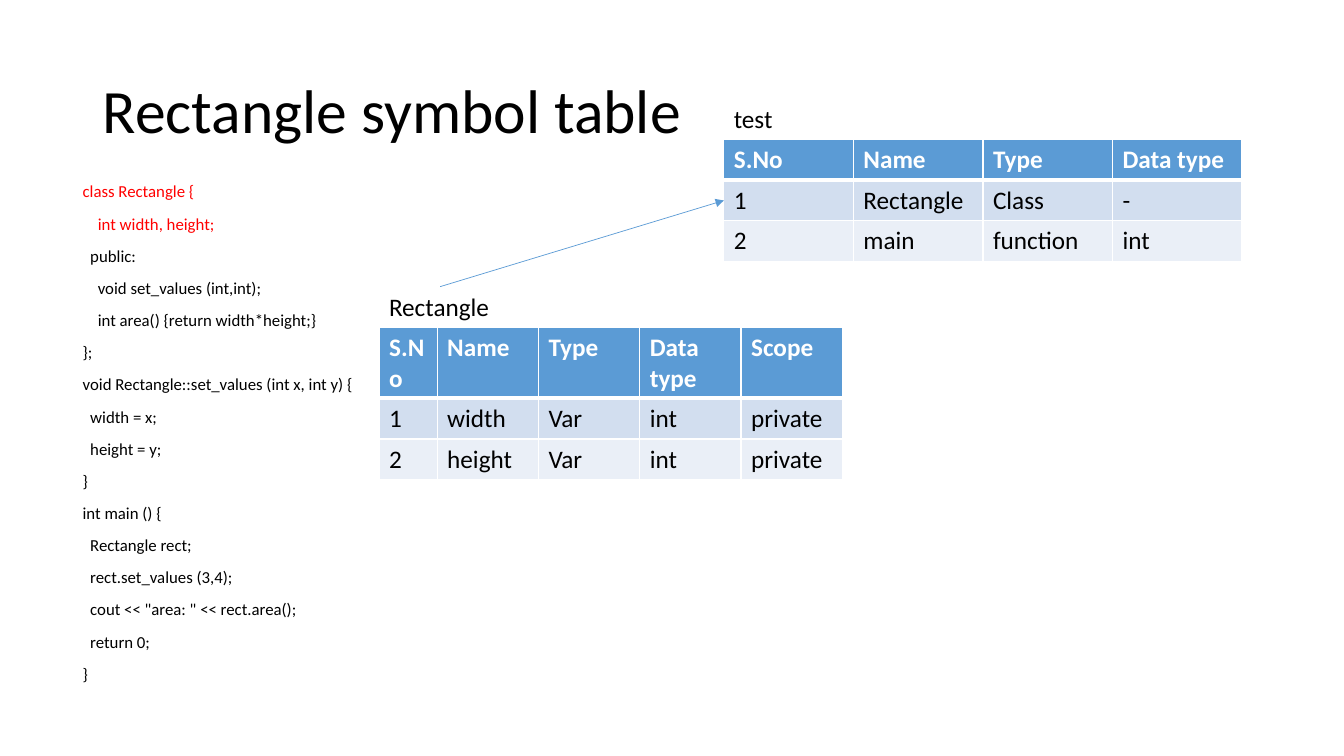
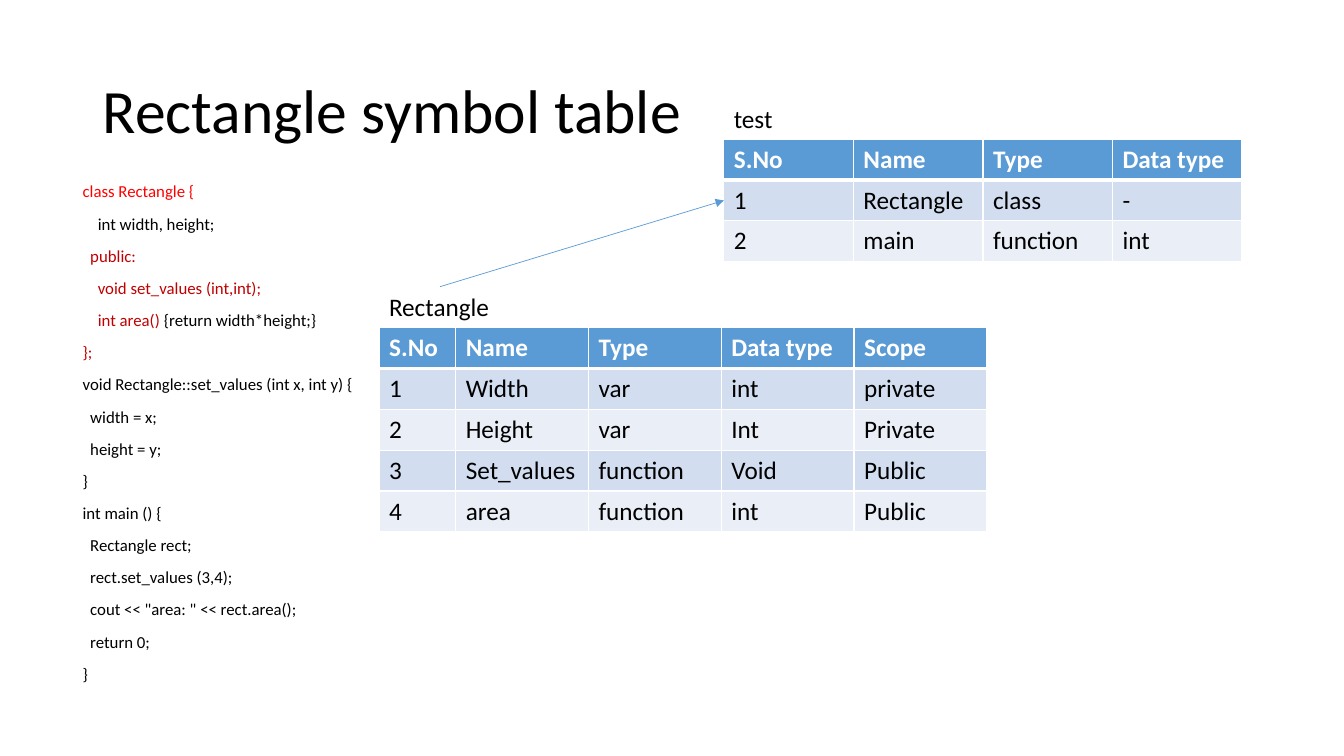
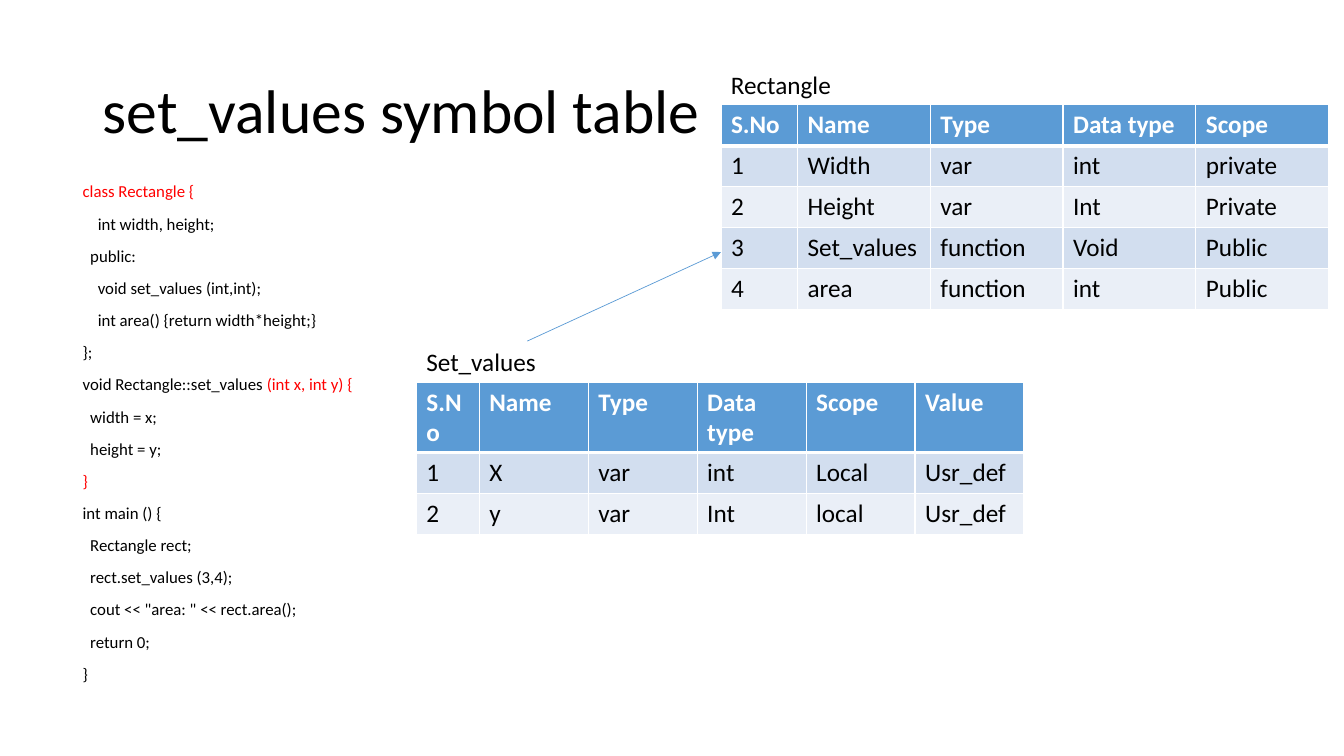
import dataclasses
import pptx
import pptx.dml.color
import pptx.enum.shapes
import pptx.enum.text
import pptx.oxml
import pptx.oxml.ns
import pptx.util


@dataclasses.dataclass(frozen=True)
class Theme:
    font: str = "Calibri"
    ink: str = "000000"
    white: str = "FFFFFF"
    red: str = "FF0000"
    dark: str = "C00000"
    blue: str = "5B9BD5"
    odd: str = "D2DEEF"
    even: str = "EAEFF7"
    title: int = 44
    text: int = 18
    code: int = 12
    space: float = 2.71


look = Theme()
deck = pptx.Presentation()
deck.slide_width = pptx.util.Inches(13.33)
deck.slide_height = pptx.util.Inches(7.5)
col = deck.slide_width / 100
row = deck.slide_height / 100
step = 5.41


def place(x, y, w, h):
    return int(x * col), int(y * row), int(w * col), int(h * row)


def say(para, text, size, tint=look.ink, bold=False):
    run = para.add_run()
    run.text = text
    run.font.name = look.font
    run.font.size = pptx.util.Pt(size)
    run.font.bold = bold
    run.font.color.rgb = pptx.dml.color.RGBColor.from_string(tint)


code = [
    (0, "class Rectangle {"),
    (4, "int width, height;"),
    (2, "public:"),
    (4, "void set_values (int,int);"),
    (4, "int area() {return width*height;}"),
    (0, "};"),
    (0, "void Rectangle::set_values (int x, int y) {"),
    (2, "width = x;"),
    (2, "height = y;"),
    (0, "}"),
    (0, "int main () {"),
    (2, "Rectangle rect;"),
    (2, "rect.set_values (3,4);"),
    (2, 'cout << "area: " << rect.area();'),
    (2, "return 0;"),
    (0, "}"),
]

head = ["S.No", "Name", "Type", "Data type"]
test = [head, ["1", "Rectangle", "class", "-"], ["2", "main", "function", "int"]]
first = [head, ["1", "Rectangle", "Class", "-"], test[2]]
draft = [
    head + ["Scope"],
    ["1", "width", "Var", "int", "private"],
    ["2", "height", "Var", "int", "private"],
]
full = [
    head + ["Scope"],
    ["1", "Width", "var", "int", "private"],
    ["2", "Height", "var", "Int", "Private"],
    ["3", "Set_values", "function", "Void", "Public"],
    ["4", "area", "function", "int", "Public"],
]
local = [
    head + ["Scope", "Value"],
    ["1", "X", "var", "int", "Local", "Usr_def"],
    ["2", "y", "var", "Int", "local", "Usr_def"],
]

outer = ("test", 4.43, False, 53.86, 18.4, 9.64, 9.64)
inner = ("Rectangle", 9.08, False, 28.21, 43.33)
pages = [
    (
        "Rectangle symbol table",
        {0: (look.red, code[0][1]), 1: (look.red, code[1][1])},
        (*outer, first),
        (*inner, 4.32, 7.54, draft),
        1.5,
    ),
    (
        "Rectangle symbol table",
        {
            0: (look.red, code[0][1]),
            2: (look.dark, code[2][1]),
            3: (look.dark, code[3][1]),
            4: (look.dark, "int area() "),
            5: (look.dark, code[5][1]),
        },
        (*outer, test),
        (*inner, 5.7, 9.88, full),
        1.5,
    ),
    (
        "set_values symbol table",
        {
            0: (look.red, code[0][1]),
            6: (look.red, "(int x, int y) {"),
            9: (look.red, code[9][1]),
        },
        ("Rectangle", 9.08, False, 53.64, 13.87, 5.7, 9.88, full),
        ("Set_values", 16.5, True, 30.98, 50.53, 4.68, 8.11, local),
        3.6,
    ),
]

for name, marks, upper, lower, hit in pages:
    slide = deck.slides.add_slide(deck.slide_layouts[1])
    title, body = slide.placeholders
    title.left, title.top, title.width, title.height = place(6.9, 5.33, 86.27, 19.33)
    body.left, body.top, body.width, body.height = place(5.4, 23.6, 86.27, 63.47)
    for box in (title, body):
        box.text_frame.word_wrap = True
        box.text_frame.auto_size = pptx.enum.text.MSO_AUTO_SIZE.NONE
    title.text_frame.vertical_anchor = pptx.enum.text.MSO_ANCHOR.MIDDLE
    para = title.text_frame.paragraphs[0]
    para.alignment = pptx.enum.text.PP_ALIGN.LEFT
    para.line_spacing = 0.9
    say(para, name, look.title)

    for n, (pad, text) in enumerate(code):
        para = body.text_frame.paragraphs[0] if n == 0 else body.text_frame.add_paragraph()
        para.line_spacing = 0.9
        para.space_before = pptx.util.Pt(10)
        prop = para._p.get_or_add_pPr()
        prop.set("marL", str(int(pptx.util.Pt(pad * look.space))))
        prop.set("indent", "0")
        prop.append(pptx.oxml.parse_xml(f"<a:buNone {pptx.oxml.ns.nsdecls('a')}/>"))
        tint, part = marks.get(n, (look.ink, text))
        start, mid, end = text.partition(part)
        for bit, shade in ((start, look.ink), (mid, tint), (end, look.ink)):
            if bit:
                say(para, bit, look.code, shade)

    for label, span, wrap, x, y, slim, wide, data in (upper, lower):
        count = len(data[0])
        area = place(x, y, slim + wide * (count - 1), step * len(data))
        grid = slide.shapes.add_table(len(data), count, *area).table
        for c in range(count):
            grid.columns[c].width = int((wide if c else slim) * col)
        for r, line in enumerate(data):
            grid.rows[r].height = int(step * row)
            fill = (look.odd if r % 2 else look.even) if r else look.blue
            for c, text in enumerate(line):
                cell = grid.cell(r, c)
                prop = cell._tc.get_or_add_tcPr()
                for side in "LRTB":
                    thick = 3 if (r, side) in ((0, "B"), (1, "T")) else 1
                    prop.append(pptx.oxml.parse_xml(
                        f'<a:ln{side} {pptx.oxml.ns.nsdecls("a")} w="{thick * 12700}">'
                        f'<a:solidFill><a:srgbClr val="{look.white}"/></a:solidFill></a:ln{side}>'
                    ))
                cell.fill.solid()
                cell.fill.fore_color.rgb = pptx.dml.color.RGBColor.from_string(fill)
                para = cell.text_frame.paragraphs[0]
                say(para, text, look.text, look.ink if r else look.white, r == 0)
        box = slide.shapes.add_textbox(*place(x, y - step, span, step))
        box.text_frame.word_wrap = wrap
        box.text_frame.auto_size = pptx.enum.text.MSO_AUTO_SIZE.SHAPE_TO_FIT_TEXT
        say(box.text_frame.paragraphs[0], label, look.text)

    tail = place(lower[3] + lower[1] / 2, lower[4] - step, 0, 0)[:2]
    tip = place(upper[3], upper[4] + hit * step, 0, 0)[:2]
    arrow = slide.shapes.add_connector(
        pptx.enum.shapes.MSO_CONNECTOR.STRAIGHT, *tail, *tip
    )
    arrow.line.color.rgb = pptx.dml.color.RGBColor.from_string(look.blue)
    arrow.line.width = pptx.util.Pt(0.5)
    arrow.line._get_or_add_ln().append(
        pptx.oxml.parse_xml(f'<a:tailEnd {pptx.oxml.ns.nsdecls("a")} type="triangle"/>')
    )
    arrow._element.spPr.append(
        pptx.oxml.parse_xml(f"<a:effectLst {pptx.oxml.ns.nsdecls('a')}/>")
    )

deck.save("out.pptx")
